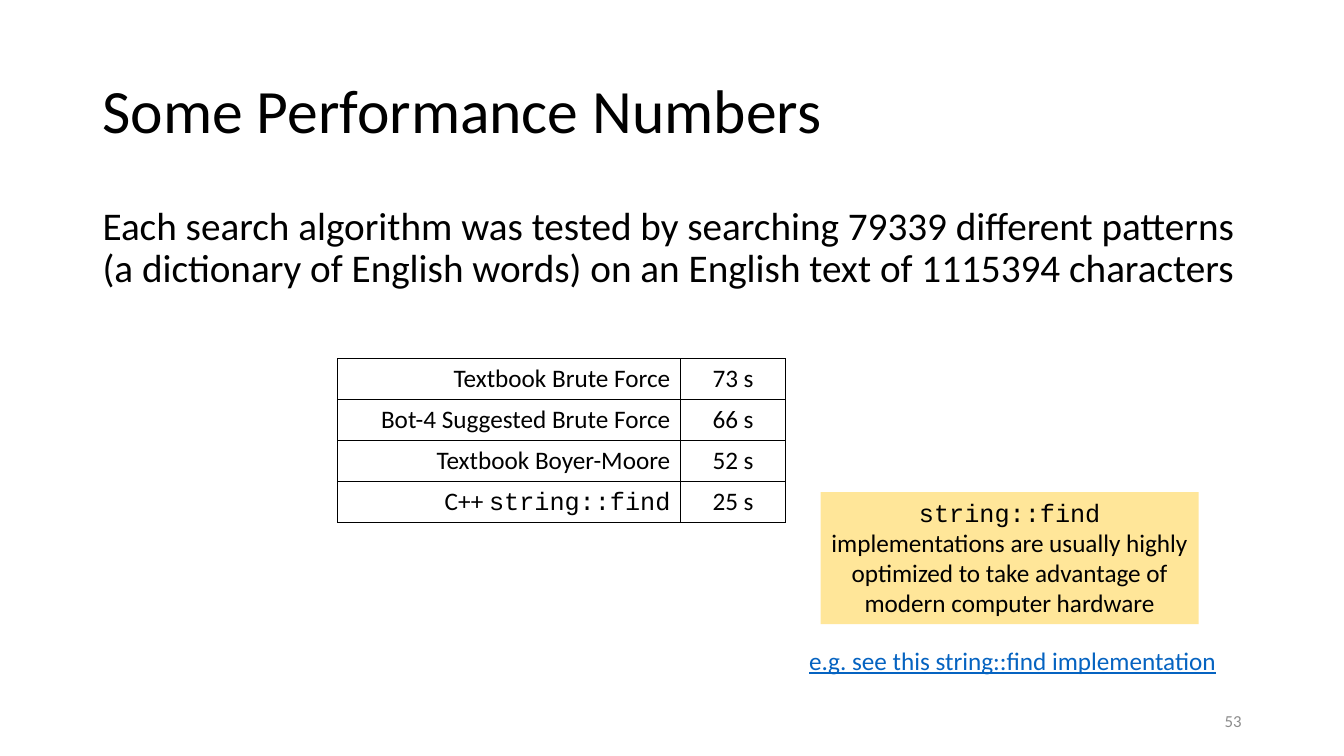
"""Build the slide that compares the running times of search algorithms."""
import lxml.etree
import pptx
import pptx.dml.color
import pptx.enum.shapes
import pptx.enum.text
import pptx.oxml.ns
import pptx.util
from pptx.util import Cm

BLACK = pptx.dml.color.RGBColor(0x00, 0x00, 0x00)
GRAY = pptx.dml.color.RGBColor(0x8C, 0x8C, 0x8C)
YELLOW = pptx.dml.color.RGBColor(0xFF, 0xE6, 0x99)
LINK_BLUE = pptx.dml.color.RGBColor(0x05, 0x63, 0xC1)
TEXT_FONT = "Calibri"
CODE_FONT = "Courier New"
ALIGN = pptx.enum.text.PP_ALIGN
ANCHOR = pptx.enum.text.MSO_ANCHOR

TIMINGS = [
    ([("Textbook Brute Force", TEXT_FONT)], "73 s"),
    ([("Bot-4 Suggested Brute Force", TEXT_FONT)], "66 s"),
    ([("Textbook Boyer-Moore", TEXT_FONT)], "52 s"),
    ([("C++ ", TEXT_FONT), ("string::find", CODE_FONT)], "25 s"),
]


def write_runs(text_frame, pieces, size=18, color=BLACK, align=ALIGN.LEFT):
    """Write (text, font) pieces as one paragraph and return it."""
    paragraph = text_frame.paragraphs[0]
    paragraph.alignment = align
    for text, font_name in pieces:
        run = paragraph.add_run()
        run.text = text
        run.font.name = font_name
        run.font.size = pptx.util.Pt(size)
        run.font.color.rgb = color
    return paragraph


def fill_placeholder(shape, box, text, size, anchor):
    """Move a placeholder and give it one unbulleted paragraph."""
    shape.left, shape.top, shape.width, shape.height = box
    shape.text_frame.auto_size = pptx.enum.text.MSO_AUTO_SIZE.NONE
    shape.text_frame.vertical_anchor = anchor
    paragraph = write_runs(shape.text_frame, [(text, TEXT_FONT)], size)
    paragraph.line_spacing = 0.9
    return paragraph


def remove_bullet(paragraph):
    """Turn off the bullet and the hanging indent of a paragraph."""
    properties = paragraph._p.get_or_add_pPr()
    properties.set("marL", "0")
    properties.set("indent", "0")
    lxml.etree.SubElement(properties, pptx.oxml.ns.qn("a:buNone"))


def add_text(slide, box, text, size, color, align=ALIGN.LEFT):
    """Add a vertically centred text box and return its paragraph."""
    text_frame = slide.shapes.add_textbox(*box).text_frame
    text_frame.word_wrap = True
    text_frame.vertical_anchor = ANCHOR.MIDDLE
    return write_runs(text_frame, [(text, TEXT_FONT)], size, color, align)


def draw_borders(cell):
    """Give all four sides of a cell a thin black line."""
    properties = cell._tc.get_or_add_tcPr()
    for position, side in enumerate("LRTB"):
        properties.insert(position, pptx.oxml.parse_xml(
            f'<a:ln{side} {pptx.oxml.ns.nsdecls("a")} w="12700"><a:solidFill>'
            f'<a:srgbClr val="{BLACK}"/></a:solidFill></a:ln{side}>'))


def add_timing_table(slide):
    """Add the table of algorithms and running times."""
    row_height = Cm(1.03)
    table = slide.shapes.add_table(
        len(TIMINGS), 2, Cm(8.51), Cm(9.04), Cm(11.29),
        row_height * len(TIMINGS)).table
    table.first_row = False
    table.horz_banding = False
    table.columns[0].width = Cm(8.64)
    table.columns[1].width = Cm(2.65)
    for row, (algorithm, seconds) in zip(table.rows, TIMINGS):
        row.height = row_height
        contents = [(algorithm, ALIGN.RIGHT),
                    ([(seconds, TEXT_FONT)], ALIGN.CENTER)]
        for cell, (pieces, align) in zip(row.cells, contents):
            write_runs(cell.text_frame, pieces, align=align)
            cell.fill.background()
            draw_borders(cell)


def add_note(slide, box, pieces):
    """Add a filled rectangle with centred text."""
    shape = slide.shapes.add_shape(
        pptx.enum.shapes.MSO_SHAPE.RECTANGLE, *box)
    shape.shadow.inherit = False
    shape.fill.solid()
    shape.fill.fore_color.rgb = YELLOW
    shape.line.fill.background()
    shape.text_frame.word_wrap = True
    shape.text_frame.vertical_anchor = ANCHOR.TOP
    write_runs(shape.text_frame, pieces, align=ALIGN.CENTER)


def main():
    """Build and save the presentation."""
    presentation = pptx.Presentation()
    presentation.slide_width = Cm(33.87)
    presentation.slide_height = Cm(19.05)
    slide = presentation.slides.add_slide(presentation.slide_layouts[1])
    fill_placeholder(
        slide.shapes.title, (Cm(2.33), Cm(1.01), Cm(29.21), Cm(3.68)),
        "Some Performance Numbers", 44, ANCHOR.MIDDLE)
    description = fill_placeholder(
        slide.placeholders[1], (Cm(2.33), Cm(5.07), Cm(29.21), Cm(12.09)),
        "Each search algorithm was tested by searching 79339 different "
        "patterns (a dictionary of English words) on an English text of "
        "1115394 characters", 28, ANCHOR.TOP)
    description.space_before = pptx.util.Pt(10)
    remove_bullet(description)
    add_text(slide, (Cm(23.92), Cm(17.65), Cm(7.62), Cm(1.01)),
             "53", 12, GRAY, ALIGN.RIGHT)
    add_timing_table(slide)
    add_note(slide, (Cm(20.68), Cm(12.4), Cm(9.53), Cm(3.33)), [
        ("string::find ", CODE_FONT),
        ("implementations are usually highly optimized to take advantage "
         "of modern computer hardware", TEXT_FONT)])
    link = add_text(slide, (Cm(20.14), Cm(16.13), Cm(11.23), Cm(1.02)),
                    "e.g. see this string::find implementation", 18, LINK_BLUE)
    link.runs[0].font.underline = True
    presentation.save("out.pptx")


if __name__ == "__main__":
    main()
